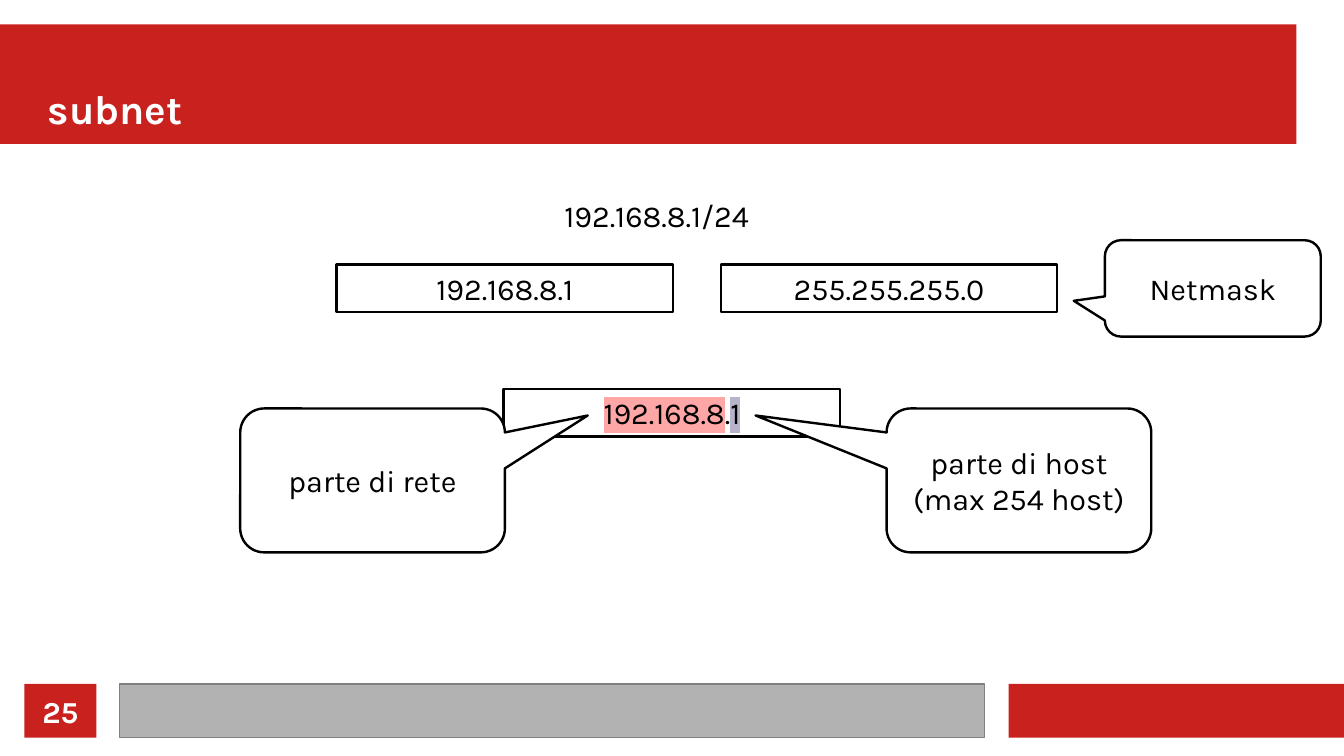
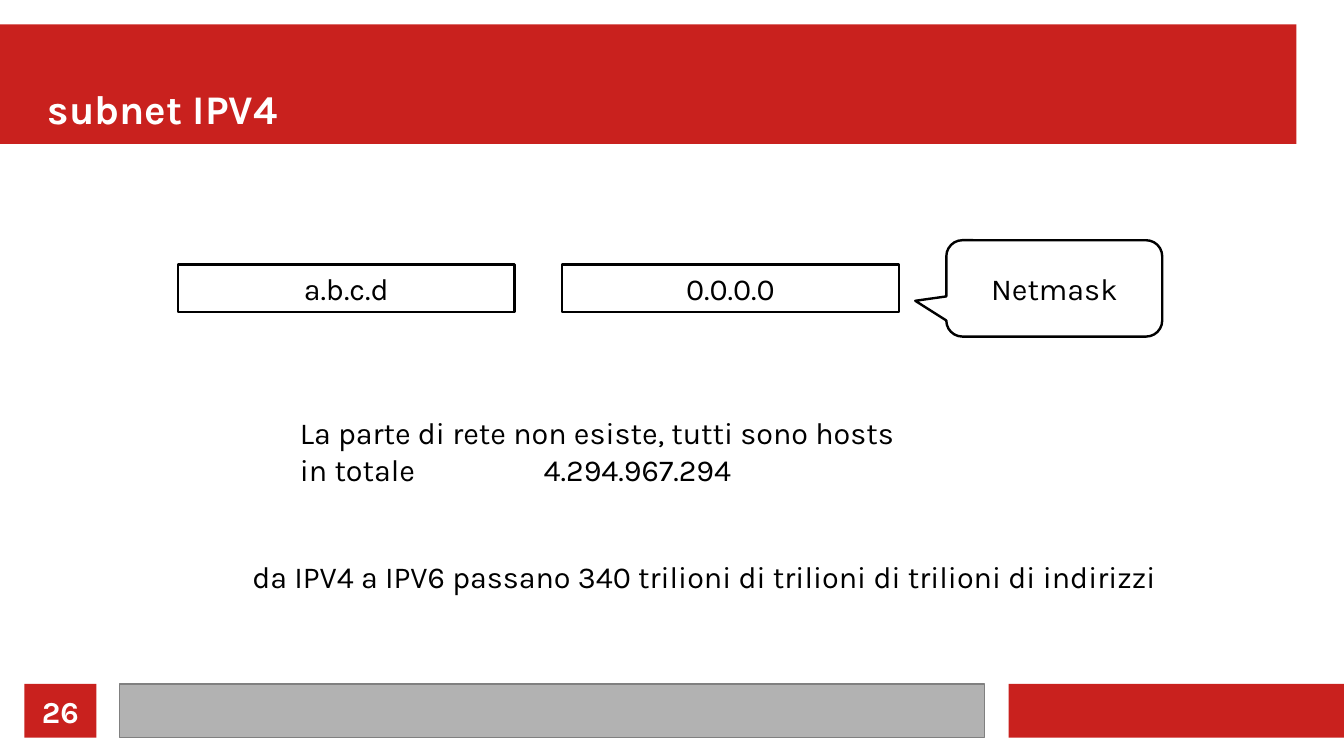
from lxml import etree
from pptx import Presentation
from pptx.dml.color import RGBColor
from pptx.enum.shapes import MSO_SHAPE
from pptx.enum.text import MSO_ANCHOR, MSO_AUTO_SIZE, PP_ALIGN
from pptx.oxml.ns import qn
from pptx.util import Inches, Pt

RECT = MSO_SHAPE.RECTANGLE
CALLOUT = MSO_SHAPE.ROUNDED_RECTANGULAR_CALLOUT
TOP, MIDDLE, BOTTOM = MSO_ANCHOR.TOP, MSO_ANCHOR.MIDDLE, MSO_ANCHOR.BOTTOM
LEFT, CENTER = PP_ALIGN.LEFT, PP_ALIGN.CENTER

RED = RGBColor(0xC9, 0x21, 0x1E)
GRAY = RGBColor(0xB2, 0xB2, 0xB2)
EDGE = RGBColor(0x80, 0x80, 0x80)
WHITE = RGBColor(0xFF, 0xFF, 0xFF)
BLACK = RGBColor(0, 0, 0)
PINK = RGBColor(0xFF, 0xA6, 0xA6)
LILAC = RGBColor(0xB7, 0xB3, 0xCA)
FONT = "Karla"


def write(shape, lines, align=CENTER, anchor=MIDDLE, size=18, color=BLACK,
          bold=False, inset=True):
    """Each line is a list of (text, highlight) runs."""
    frame = shape.text_frame
    frame.word_wrap = True
    frame.auto_size = MSO_AUTO_SIZE.NONE
    frame.vertical_anchor = anchor
    frame.margin_left = frame.margin_right = Inches(0.1 if inset else 0)
    frame.margin_top = frame.margin_bottom = Inches(0.05 if inset else 0)
    for i, line in enumerate(lines):
        para = frame.add_paragraph() if i else frame.paragraphs[0]
        para.alignment = align
        for text, mark in line:
            run = para.add_run()
            run.text = text
            font = run.font
            font.name, font.size, font.bold = FONT, Pt(size), bold
            font.color.rgb = color
            if mark is not None:
                glow = etree.Element(qn("a:highlight"))
                etree.SubElement(glow, qn("a:srgbClr"), val=str(mark))
                run._r.rPr.find(qn("a:solidFill")).addnext(glow)


def draw(slide, kind, box, fill=WHITE, line=BLACK, width=1.42):
    shape = slide.shapes.add_shape(kind, *map(Inches, box))
    shape.shadow.inherit = False
    shape.fill.solid()
    shape.fill.fore_color.rgb = fill
    if line is None:
        shape.line.fill.background()
    else:
        shape.line.color.rgb = line
        shape.line.width = Pt(width)
    return shape


deck = Presentation()
deck.slide_width, deck.slide_height = Inches(11.02), Inches(6.2)
layout = deck.slide_layouts[5]

# Title place, shared through the layout
head = layout.placeholders[0]
head.left, head.top = Inches(0.39), Inches(0.3)
head.width, head.height = Inches(10.24), Inches(0.79)

# Slides with title and page number
slides = []
for page, title in enumerate(["subnet", "subnet IPV4"], 25):
    slide = deck.slides.add_slide(layout)
    slides.append(slide)
    write(slide.shapes.title, [[(title, None)]], LEFT, BOTTOM, 24, WHITE,
          True, False)
    box = slide.shapes.add_textbox(*map(Inches, (0.2, 5.61, 0.59, 0.44)))
    write(box, [[(str(page), None)]], color=WHITE, bold=True, inset=False)
first, second = slides

# Bands, moved to the layout so that both slides share them
bands = [
    ((0, 0.2, 10.63, 0.98), RED, None),
    ((8.27, 5.61, 2.75, 0.44), RED, None),
    ((0.98, 5.61, 7.09, 0.44), GRAY, EDGE),
    ((0.2, 5.61, 0.59, 0.44), RED, None),
]
for i, (box, fill, line) in enumerate(bands):
    band = draw(first, RECT, box, fill, line, 0)
    layout.shapes.element.insert(2 + i, band.element)

# Address, netmask and its callout, at equal steps on both slides
STEP = 3.15
rows = [
    (first, 2.76, "192.168.8.1", "255.255.255.0"),
    (second, 1.46, "a.b.c.d", "0.0.0.0"),
]
for slide, left, host, mask in rows:
    for i, text in enumerate([host, mask]):
        cell = draw(slide, RECT, (left + i * STEP, 2.17, 2.76, 0.39))
        write(cell, [[(text, None)]])
    note = draw(slide, CALLOUT, (left + 2 * STEP, 1.97, 1.77, 0.79))
    note.adjustments[0], note.adjustments[1] = -0.644, 0.129
    write(note, [[("Netmask", None)]])

# Network part and host part
split = draw(first, RECT, (4.13, 3.19, 2.76, 0.39))
write(split, [[("192.168.8", PINK), (".", None), ("1", LILAC)]])
parts = [
    (1.97, 0.813, ["parte di rete"]),
    (7.27, -0.995, ["parte di host", "(max 254 host)"]),
]
for left, tip, lines in parts:
    note = draw(first, CALLOUT, (left, 3.35, 2.17, 1.18))
    note.adjustments[0], note.adjustments[1] = tip, -0.451
    write(note, [[(text, None)] for text in lines])

# Plain text lines
texts = [
    (first, (4.53, 1.57, 1.97, 0.44), ["192.168.8.1/24"]),
    (second, (2.36, 3.35, 5.21, 0.78),
     ["La parte di rete non esiste, tutti sono hosts",
      "in totale\t4.294.967.294"]),
    (second, (1.97, 4.53, 7.71, 0.44),
     ["da IPV4 a IPV6 passano 340 trilioni di trilioni di trilioni "
      "di indirizzi"]),
]
for slide, box, lines in texts:
    area = slide.shapes.add_textbox(*map(Inches, box))
    write(area, [[(text, None)] for text in lines], LEFT, TOP)
    for para in area.text_frame.paragraphs:
        if "\t" in para.text:
            tabs = etree.SubElement(para._p.get_or_add_pPr(), qn("a:tabLst"))
            etree.SubElement(tabs, qn("a:tab"), pos=str(Inches(2)), algn="l")

deck.save("out.pptx")
